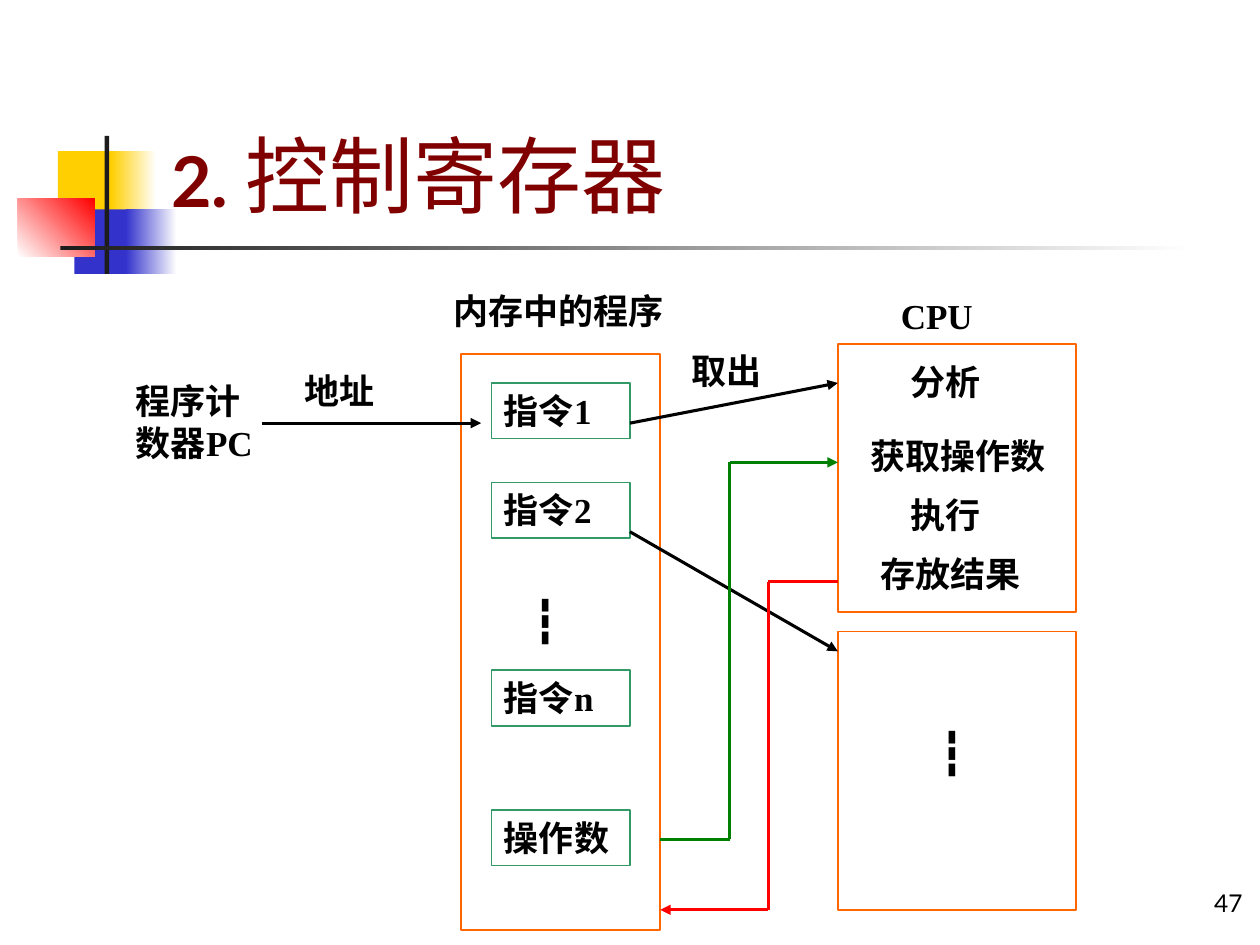
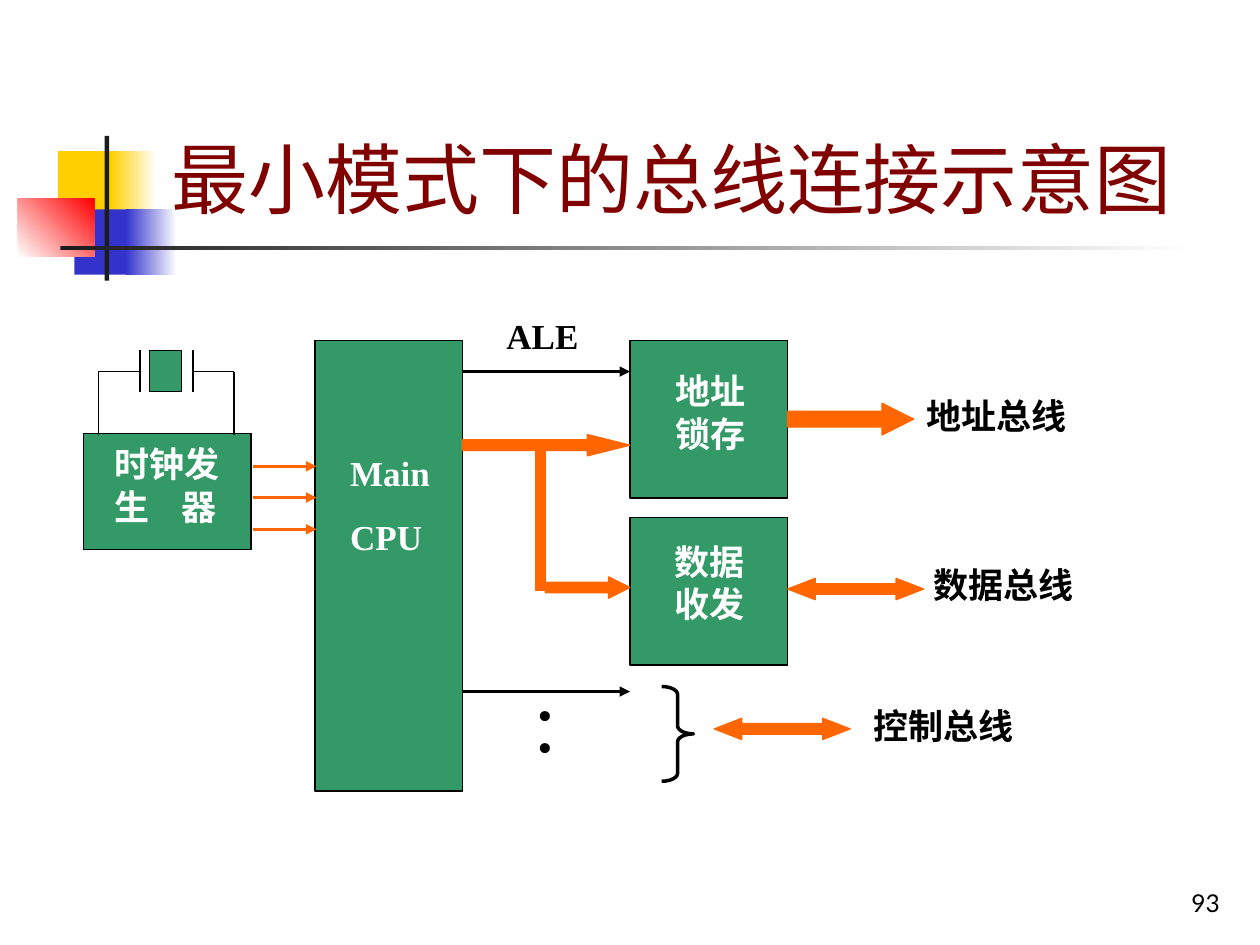
from itertools import pairwise
from lxml.etree import SubElement
from pptx import Presentation
from pptx.dml.color import RGBColor
from pptx.enum.shapes import MSO_CONNECTOR as Link, MSO_SHAPE as Shape
from pptx.enum.text import MSO_ANCHOR as Anchor, PP_ALIGN as Align
from pptx.oxml.ns import qn
from pptx.util import Cm, Pt

COLORS = {
    "black": "000000", "white": "FFFFFF", "ink": "1C1C1C", "title": "800000",
    "yellow": "FFCF01", "blue": "3333CC", "red": "FF0000",
    "block": "339966", "orange": "FF6600", "fetch": "008000",
}
HEAD_FONT, BODY_FONT = "Lato", "Times New Roman"
LABEL_HEIGHT = 1.12

EMBLEM = [
    ((1.17, 3.05, 1.22, 1.32), ("yellow",), 0),
    ((2.24, 3.05, 0.91, 1.32), ("yellow", "white"), 0),
    ((1.5, 4.22, 1.17, 1.32), ("blue",), 0),
    ((2.54, 4.22, 1.02, 1.32), ("blue", "white"), 0),
    ((0.36, 4.01, 1.55, 1.17), ("white", "red"), 45),
    ((2.11, 2.74, 0.09, 2.92), ("ink",), 0),
    ((1.22, 4.95, 22.86, 0.09), ("ink", "white"), 0),
]

REGISTERS = {
    "title": [("2. ", 40, True), ("控制寄存器", 48, False)],
    "number": ("47", 20.02),
    "panel": (1.5, 5.54, 22.81, 13.41),
    "frames": [
        (9.3, 7.14, 4, 11.61),
        (16.89, 6.93, 4.8, 5.41),
        (16.89, 12.73, 4.8, 5.61),
    ],
    "cells": [("指令1", 7.72), ("指令2", 9.73), ("指令n", 13.51), ("操作数", 16.33)],
    "labels": [
        ("内存中的程序", 8.89, 5.72, 5),
        ("CPU", 17.91, 5.82, 2.59),
        ("分析", 18.11, 7.14, 2.21),
        ("获取操作数", 17.3, 8.64, 4.39),
        ("执行", 18.11, 9.83, 2.21),
        ("存放结果", 17.5, 11.02, 3.61),
        ("程序计数器PC", 2.49, 7.52, 3.2),
        ("地址", 5.89, 7.32, 2.01),
        ("取出", 13.69, 6.93, 2.59),
    ],
    "ellipses": [(10.49, 11.86), (18.69, 14.53)],
    "routes": [
        ("black", [(12.7, 8.53), (16.89, 7.72)]),
        ("black", [(12.7, 10.72), (16.89, 13.13)]),
        ("black", [(5.28, 8.53), (9.7, 8.53)]),
        ("fetch", [(13.31, 16.92), (14.71, 16.92), (14.71, 9.32), (16.89, 9.32)]),
        ("red", [(16.89, 11.73), (15.49, 11.73), (15.49, 18.34), (13.31, 18.34)]),
    ],
}

BUSES = {
    "title": [("最小模式下的总线连接示意图", 44, False)],
    "number": ("93", 19.56),
    "blocks": [
        (6.35, 6.86, 2.97, 9.09),
        (1.68, 8.74, 3.38, 2.34),
        (12.7, 6.86, 3.18, 3.18),
        (12.7, 10.44, 3.18, 2.97),
        (3.02, 7.06, 0.64, 0.84),
    ],
    "block_texts": [
        (["Main", "CPU"], (6.81, 8.97, 2.34, 2.39), None),
        (["地址", "锁存"], (13.36, 7.7, 2.08, 1.55), 0.5),
        (["数据", "收发"], (13.34, 11.13, 1.98, 1.55), 0.5),
        (["时钟发", "生\t器"], (2.06, 9.17, 2.9, 1.98), 0.5),
    ],
    "arrows": [
        (Shape.RIGHT_ARROW, (9.32, 8.76, 3.38, 0.43), 2),
        (Shape.RIGHT_ARROW, (11, 11.63, 1.7, 0.43), 1),
        (Shape.RIGHT_ARROW, (15.88, 8.13, 2.54, 0.64), 1),
        (Shape.LEFT_RIGHT_ARROW, (15.88, 11.66, 2.74, 0.43), 1.29),
        (Shape.LEFT_RIGHT_ARROW, (14.4, 14.48, 2.74, 0.43), 1.29),
    ],
    "branch": (10.8, 9.09, 0.2, 2.82),
    "brace": (13.34, 13.84, 0.64, 1.91),
    "dots": (10.59, 14.53, 1.91, 0.99),
    "labels": [
        ("ALE", 9.96, 6.22, 2.54),
        ("地址总线", 18.42, 7.82, 4.24),
        ("数据总线", 18.57, 11.23, 3.61),
        ("控制总线", 17.35, 14.07, 3.61),
    ],
    "signals": [7.49, 13.94],
    "pulses": [9.4, 10.03, 10.67],
    "wires": [
        [(1.98, 8.76), (1.98, 7.49), (2.82, 7.49)],
        [(2.82, 7.06), (2.82, 7.9)],
        [(3.89, 7.06), (3.89, 7.9)],
        [(3.89, 7.49), (4.72, 7.49), (4.72, 8.76)],
    ],
}


def rgb(name):
    return RGBColor.from_string(COLORS[name])


def lengths(values):
    return [Cm(value) for value in values]


def add_figure(page, kind, area, fill=(), line=None, width=0.75, angle=0):
    figure = page.shapes.add_shape(kind, *lengths(area))
    figure.shadow.inherit = False
    if len(fill) == 2:
        figure.fill.gradient()
        figure.fill.gradient_angle = angle
        for stop, name in zip(figure.fill.gradient_stops, fill):
            stop.color.rgb = rgb(name)
    elif fill:
        figure.fill.solid()
        figure.fill.fore_color.rgb = rgb(fill[0])
    else:
        figure.fill.background()
    if line:
        figure.line.color.rgb = rgb(line)
        figure.line.width = Pt(width)
    else:
        figure.line.fill.background()
    return figure


def add_tab(para, position):
    tabs = SubElement(para._p.get_or_add_pPr(), qn("a:tabLst"))
    SubElement(tabs, qn("a:tab"), pos=str(Cm(position)), algn="l")


def write(box, texts, size=20, color="black", bold=True, spacing=None, gap=12.5):
    frame = box.text_frame
    frame.word_wrap = True
    frame.vertical_anchor = Anchor.TOP
    for index, text in enumerate(texts):
        para = frame.add_paragraph() if index else frame.paragraphs[0]
        para.text = text
        para.alignment = Align.LEFT
        if spacing:
            para.line_spacing = spacing
        if index:
            para.space_before = Pt(gap)
        if "\t" in text:
            add_tab(para, 1.34)
        para.font.name = BODY_FONT
        para.font.size = Pt(size)
        para.font.bold = bold
        para.font.color.rgb = rgb(color)


def add_text(page, texts, area, **style):
    write(page.shapes.add_textbox(*lengths(area)), texts, **style)


def add_labels(page, labels):
    for text, left, top, width in labels:
        add_text(page, [text], (left, top, width, LABEL_HEIGHT))


def add_route(page, points, color="black", width=1.75, arrow=True):
    for start, end in pairwise(points):
        link = page.shapes.add_connector(Link.STRAIGHT, *lengths(start + end))
        link.line.color.rgb = rgb(color)
        link.line.width = Pt(width)
        SubElement(link._element.spPr, qn("a:effectLst"))
    if arrow:
        SubElement(link.line._get_or_add_ln(), qn("a:tailEnd"), type="triangle")


def add_page(deck, content):
    page = deck.slides.add_slide(deck.slide_layouts[6])
    for area, fill, angle in EMBLEM:
        add_figure(page, Shape.RECTANGLE, area, fill, angle=angle)

    number, left = content["number"]
    footer = page.shapes.add_textbox(*lengths((left, 17.35, 5.28, 1.27))).text_frame
    footer.vertical_anchor = Anchor.BOTTOM
    footer.word_wrap = True
    para = footer.paragraphs[0]
    para.text = number
    para.alignment = Align.RIGHT
    para.font.name = HEAD_FONT
    para.font.size = Pt(14)
    para.font.color.rgb = rgb("black")

    title = page.shapes.add_textbox(*lengths((3.2, 0.58, 21.64, 4.06))).text_frame
    title.vertical_anchor = Anchor.BOTTOM
    title.word_wrap = True
    para = title.paragraphs[0]
    for text, size, bold in content["title"]:
        span = para.add_run()
        span.text = text
        span.font.size = Pt(size)
        span.font.bold = bold
        span.font.name = HEAD_FONT
        span.font.color.rgb = rgb("title")
    return page


def build_registers(deck):
    page = add_page(deck, REGISTERS)
    add_figure(page, Shape.RECTANGLE, REGISTERS["panel"], ["white"], "white", 1)
    for area in REGISTERS["frames"]:
        add_figure(page, Shape.RECTANGLE, area, line="orange", width=1)
    for text, top in REGISTERS["cells"]:
        area = (9.91, top, 2.79, LABEL_HEIGHT)
        write(add_figure(page, Shape.RECTANGLE, area, line="block", width=1), [text])
    add_labels(page, REGISTERS["labels"])
    for left, top in REGISTERS["ellipses"]:
        add_text(page, ["┇"], (left, top, 1.6, 1.27), size=24)
    for color, points in REGISTERS["routes"]:
        add_route(page, points, color)


def build_buses(deck):
    page = add_page(deck, BUSES)
    for area in BUSES["blocks"]:
        add_figure(page, Shape.RECTANGLE, area, ["block"], "black")
    for texts, area, spacing in BUSES["block_texts"]:
        add_text(page, texts, area, color="white", spacing=spacing)
    for kind, area, head in BUSES["arrows"]:
        arrow = add_figure(page, kind, area, ["orange"], "orange")
        arrow.adjustments[0] = 0.5
        arrow.adjustments[1] = head
    add_figure(page, Shape.RECTANGLE, BUSES["branch"], ["orange"], "orange")
    brace = add_figure(page, Shape.RIGHT_BRACE, BUSES["brace"], line="black", width=2)
    brace.adjustments[0] = 0.25
    add_text(page, ["•", "•"], BUSES["dots"], size=24, bold=False, spacing=0.1, gap=15)
    add_labels(page, BUSES["labels"])
    for top in BUSES["signals"]:
        add_route(page, [(9.32, top), (12.7, top)])
    for top in BUSES["pulses"]:
        add_route(page, [(5.11, top), (6.38, top)], "orange", 2)
    for points in BUSES["wires"]:
        add_route(page, points, width=0.75, arrow=False)


def main():
    deck = Presentation()
    deck.slide_width, deck.slide_height = Cm(25.4), Cm(19.05)
    build_registers(deck)
    build_buses(deck)
    deck.save("out.pptx")


if __name__ == "__main__":
    main()
